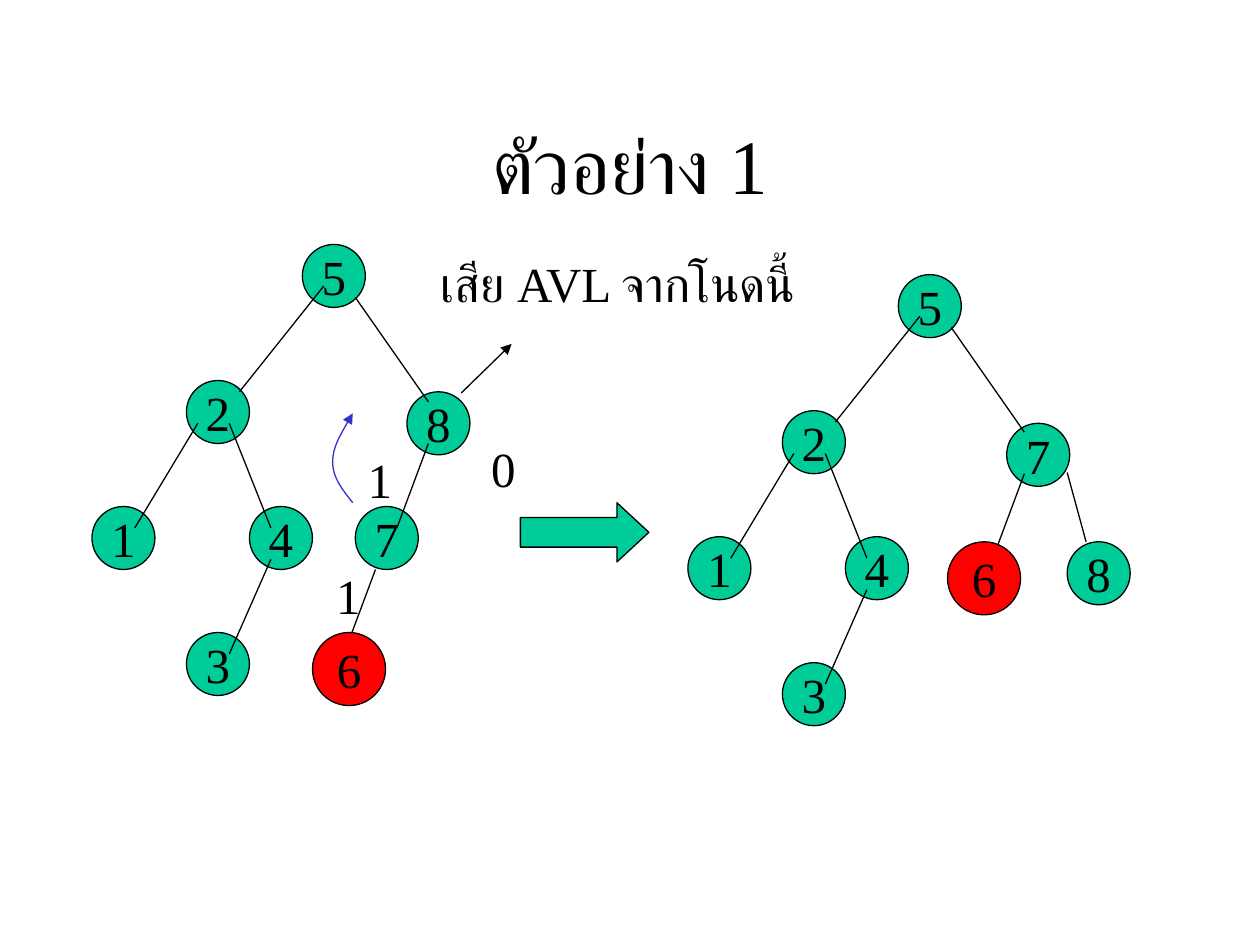
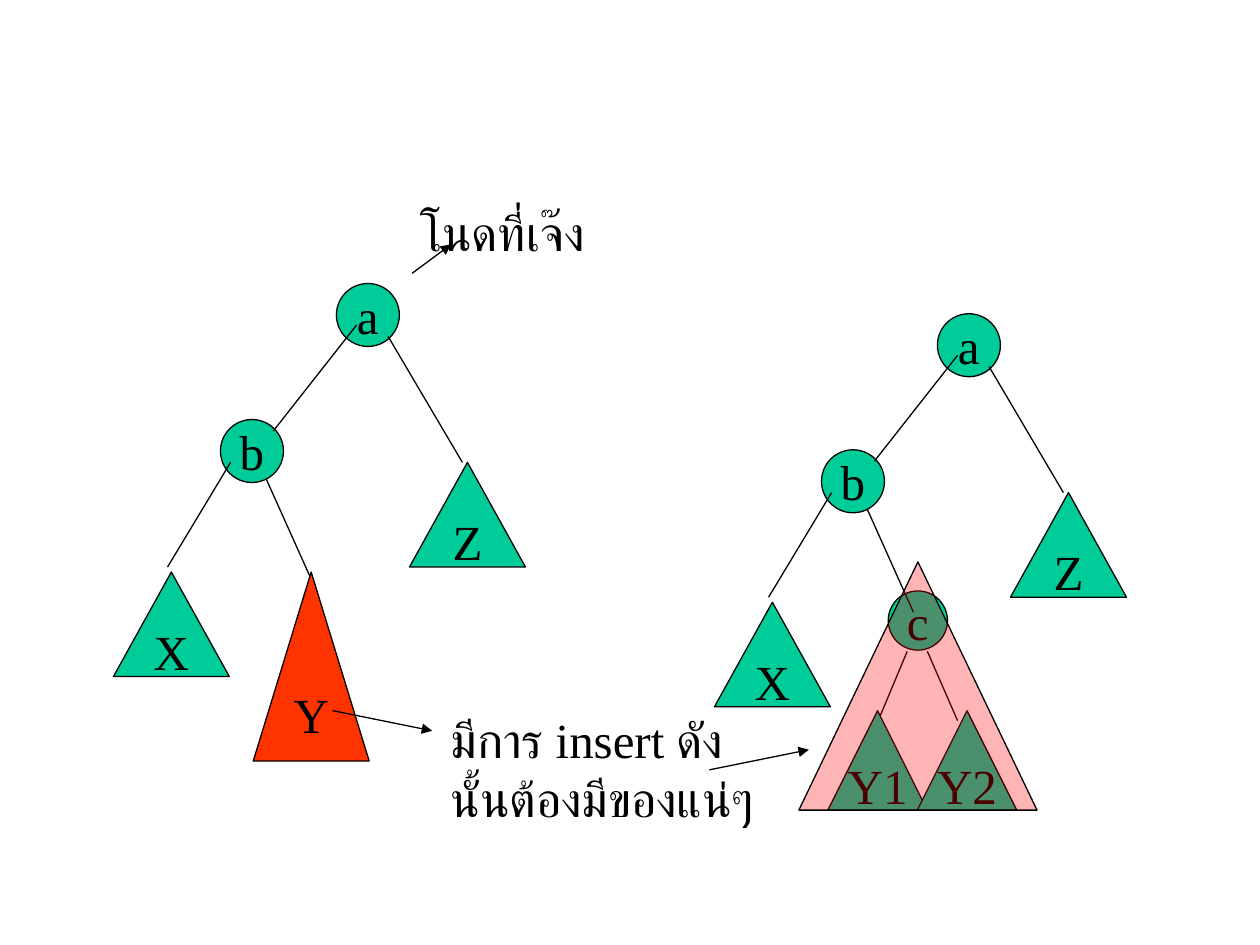
import pptx
import pptx.util
import pptx.dml.color
import pptx.enum.dml
import pptx.enum.shapes
import pptx.enum.text
import pptx.oxml.ns
from dataclasses import dataclass
from lxml import etree

Inches = pptx.util.Inches
Kind = pptx.enum.shapes.MSO_SHAPE
Align = pptx.enum.text.PP_ALIGN
Anchor = pptx.enum.text.MSO_ANCHOR
AutoSize = pptx.enum.text.MSO_AUTO_SIZE
qn = pptx.oxml.ns.qn


@dataclass(frozen=True)
class Theme:
    font: str = "Times New Roman"
    ink: str = "000000"
    node: str = "00CC99"
    inserted: str = "FF0000"
    grown: str = "FF3300"
    rotation: str = "3333CC"
    paper: str = "FFFFFF"
    title_size: int = 44
    text_size: int = 28
    line_width: float = 0.75
    overlay_alpha: int = 29


THEME = Theme()
NODE = (0.5, 0.5)
INSERTED = (0.58, 0.58)
SUBTREE = (0.92, 0.83)
HALF = (0.79, 0.79)
ORIGIN = (0, 0)

TITLE = ("ตัวอย่าง 1", 0.75, 0.67, 8.5, 1.25)

AVL_NODES = [("5", 2.4, 1.94), ("2", 1.48, 3.02), ("1", 0.73, 4.02),
             ("4", 1.98, 4.02), ("3", 1.48, 5.02)]
AVL_EDGES = [(2.57, 2.27, 1.9, 3.11), (2.82, 2.36, 3.4, 3.19),
             (3.4, 3.52, 3.15, 4.19), (1.82, 3.36, 2.15, 4.19),
             (1.57, 3.36, 1.07, 4.19), (2.15, 4.44, 1.82, 5.19)]
AVL_TREES = [
    dict(offset=ORIGIN, nodes=[("8", 3.23, 3.11), ("7", 2.82, 4.02)],
         edge=(2.98, 4.52, 2.73, 5.19), inserted=("6", 2.48, 5.02)),
    dict(offset=(4.73, 0.24), nodes=[("7", 7.99, 3.36), ("8", 8.47, 4.3)],
         edge=(8.47, 3.75, 8.62, 4.3), inserted=("6", 7.52, 4.3)),
]
AVL_LABELS = [("0", 3.8, 3.43, 0.39, 0.57), ("1", 2.57, 4.44, 0.39, 0.57),
              ("1", 2.82, 3.52, 0.39, 0.57),
              ("เสีย AVL จากโนดนี้", 3.4, 1.96, 3.09, 0.57)]
BROKEN_NODE_ARROW = (3.66, 3.12, 4.06, 2.73)
RESULT_ARROW = (4.13, 3.99, 1.02, 0.47)
ROTATION_CURVE = [(2.8, 3.99), (2.72, 3.89), (2.64, 3.79), (2.64, 3.67),
                  (2.64, 3.55), (2.72, 3.42), (2.8, 3.28)]

CASE_NODES = [("a", 2.67, 2.25), ("b", 1.75, 3.33)]
CASE_INNER_EDGE = (2.09, 3.75, 2.48, 4.62)
CASE_EDGES = [(2.83, 2.58, 2.17, 3.42), (3.08, 2.67, 3.67, 3.67),
              (1.83, 3.67, 1.33, 4.5)]
CASE_SUBTREES = [("X", 0.9, 4.54), ("Z", 3.25, 3.67)]
CASE_OFFSET = (4.77, 0.24)
GROWN_SUBTREE = ("Y", 2.01, 4.54, 0.92, 1.5)
SPLIT_ROOT = ("c", 7.05, 4.69, 0.47, 0.47)
SPLIT_EDGES = [(7.2, 5.17, 6.97, 5.72), (7.36, 5.17, 7.6, 5.72)]
SPLIT_SUBTREES = [("Y1", 6.57, 5.64), ("Y2", 7.28, 5.64)]
SPLIT_OVERLAY = ("", 6.34, 4.46, 1.89, 1.97)
CASE_ARROWS = [(2.64, 5.64, 3.43, 5.8), (5.63, 6.11, 6.42, 5.95),
               (3.27, 2.17, 3.58, 1.94)]
INSERT_NOTE = ("มีการ insert ดังนั้นต้องมีของแน่ๆ", 3.48, 5.58, 2.78, 1.04)
BROKEN_NOTE = ("โนดที่เจ๊ง", 3.24, 1.56, 1.5, 0.57)


def rgb(colour):
    return pptx.dml.color.RGBColor.from_string(colour)


def apply(target, **values):
    for key, value in values.items():
        setattr(target, key, value)


def stroke(line, colour=THEME.ink, arrow=False):
    line.color.rgb = rgb(colour)
    line.width = pptx.util.Pt(THEME.line_width)
    if arrow:
        etree.SubElement(line._get_or_add_ln(), qn("a:tailEnd"), type="triangle")


def write(shape, text, size=THEME.text_size, align=Align.CENTER, **frame_format):
    frame = shape.text_frame
    apply(frame, **frame_format)
    paragraph = frame.paragraphs[0]
    paragraph.alignment = align
    run = paragraph.add_run()
    run.text = text
    apply(run.font, size=pptx.util.Pt(size), name=THEME.font)
    run.font.color.rgb = rgb(THEME.ink)
    etree.SubElement(run._r.get_or_add_rPr(), qn("a:cs"), typeface=THEME.font)


def add_label(slide, text, left, top, width, height, **text_format):
    box = slide.shapes.add_textbox(*map(Inches, (left, top, width, height)))
    values = dict(align=Align.LEFT, word_wrap=False,
                  auto_size=AutoSize.SHAPE_TO_FIT_TEXT)
    write(box, text, **{**values, **text_format})


def add_part(slide, kind, text, left, top, width, height,
             fill=THEME.node, offset=ORIGIN):
    place = (left + offset[0], top + offset[1], width, height)
    part = slide.shapes.add_shape(kind, *map(Inches, place))
    part.shadow.inherit = False
    part.fill.solid()
    part.fill.fore_color.rgb = rgb(fill)
    stroke(part.line)
    if text:
        write(part, text, word_wrap=False, vertical_anchor=Anchor.MIDDLE)
    return part


def add_parts(slide, kind, parts, size, **look):
    for part in parts:
        add_part(slide, kind, *part, *size, **look)


def add_edges(slide, edges, offset=ORIGIN, arrow=False):
    dx, dy = offset
    for x1, y1, x2, y2 in edges:
        edge = slide.shapes.add_connector(
            pptx.enum.shapes.MSO_CONNECTOR.STRAIGHT,
            *map(Inches, (x1 + dx, y1 + dy, x2 + dx, y2 + dy)))
        stroke(edge.line, arrow=arrow)
        etree.SubElement(edge._element.spPr, qn("a:effectLst"))


def add_curve(slide, points, colour):
    start, *rest = [(Inches(x), Inches(y)) for x, y in points]
    builder = slide.shapes.build_freeform(*start)
    builder.add_line_segments(rest, close=False)
    curve = builder.convert_to_shape()
    curve.shadow.inherit = False
    curve.fill.background()
    stroke(curve.line, colour, arrow=True)
    outline = curve._element.xpath(".//a:path")[0]
    segments = outline.findall(qn("a:lnTo"))
    for first in range(0, len(segments), 3):
        bezier = etree.SubElement(outline, qn("a:cubicBezTo"))
        for segment in segments[first:first + 3]:
            bezier.append(segment[0])
            outline.remove(segment)


def add_slide(deck):
    slide = deck.slides.add_slide(deck.slide_layouts[6])
    slide.background.fill.solid()
    slide.background.fill.fore_color.rgb = rgb(THEME.paper)
    return slide


def build_example(slide):
    add_label(slide, *TITLE, size=THEME.title_size, align=Align.CENTER,
              word_wrap=True, auto_size=AutoSize.NONE,
              vertical_anchor=Anchor.MIDDLE)
    for tree in AVL_TREES:
        add_parts(slide, Kind.OVAL, AVL_NODES, NODE, offset=tree["offset"])
        add_parts(slide, Kind.OVAL, tree["nodes"], NODE)
        add_edges(slide, AVL_EDGES, tree["offset"])
        add_edges(slide, [tree["edge"]])
        add_part(slide, Kind.OVAL, *tree["inserted"], *INSERTED,
                 fill=THEME.inserted)
    for label in AVL_LABELS:
        add_label(slide, *label)
    add_edges(slide, [BROKEN_NODE_ARROW], arrow=True)
    result = add_part(slide, Kind.RIGHT_ARROW, "", *RESULT_ARROW)
    result.adjustments[1] = 0.54
    add_curve(slide, ROTATION_CURVE, THEME.rotation)


def build_case(slide):
    add_part(slide, Kind.OVAL, *SPLIT_ROOT)
    for offset in (ORIGIN, CASE_OFFSET):
        add_edges(slide, [CASE_INNER_EDGE], offset)
        add_parts(slide, Kind.OVAL, CASE_NODES, NODE, offset=offset)
        add_edges(slide, CASE_EDGES, offset)
        add_parts(slide, Kind.ISOSCELES_TRIANGLE, CASE_SUBTREES, SUBTREE,
                  offset=offset)
    add_part(slide, Kind.ISOSCELES_TRIANGLE, *GROWN_SUBTREE, fill=THEME.grown)
    add_edges(slide, SPLIT_EDGES)
    add_parts(slide, Kind.ISOSCELES_TRIANGLE, SPLIT_SUBTREES, HALF)
    add_edges(slide, CASE_ARROWS, arrow=True)
    add_label(slide, *INSERT_NOTE, word_wrap=True)
    add_label(slide, *BROKEN_NOTE)
    overlay = add_part(slide, Kind.ISOSCELES_TRIANGLE, *SPLIT_OVERLAY,
                       fill=THEME.inserted)
    tint = overlay._element.spPr.find(qn("a:solidFill"))[0]
    etree.SubElement(tint, qn("a:alpha"), val=str(THEME.overlay_alpha * 1000))


def main():
    deck = pptx.Presentation()
    apply(deck, slide_width=Inches(10), slide_height=Inches(7.5))
    for build in (build_example, build_case):
        build(add_slide(deck))
    deck.save("out.pptx")


if __name__ == "__main__":
    main()
